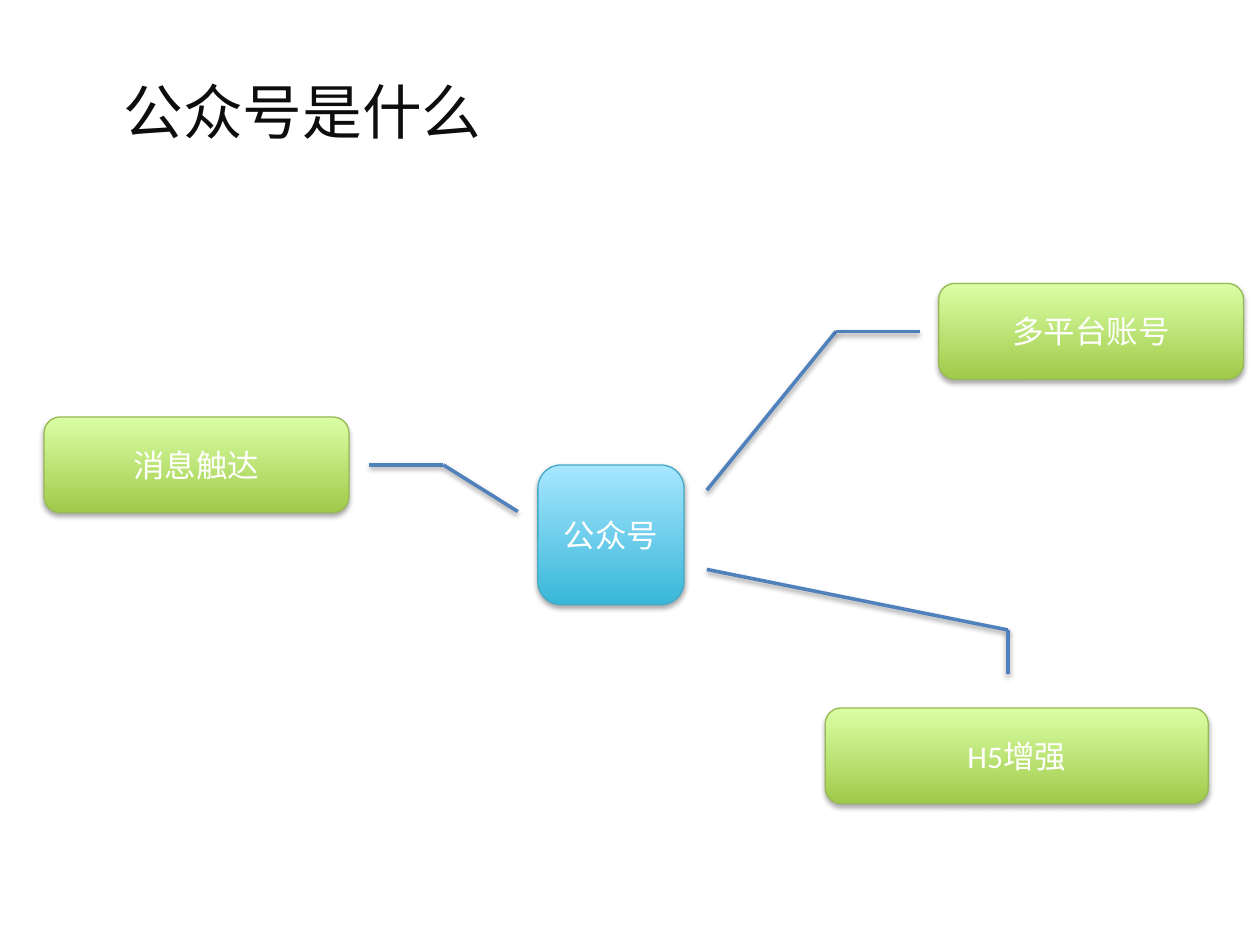
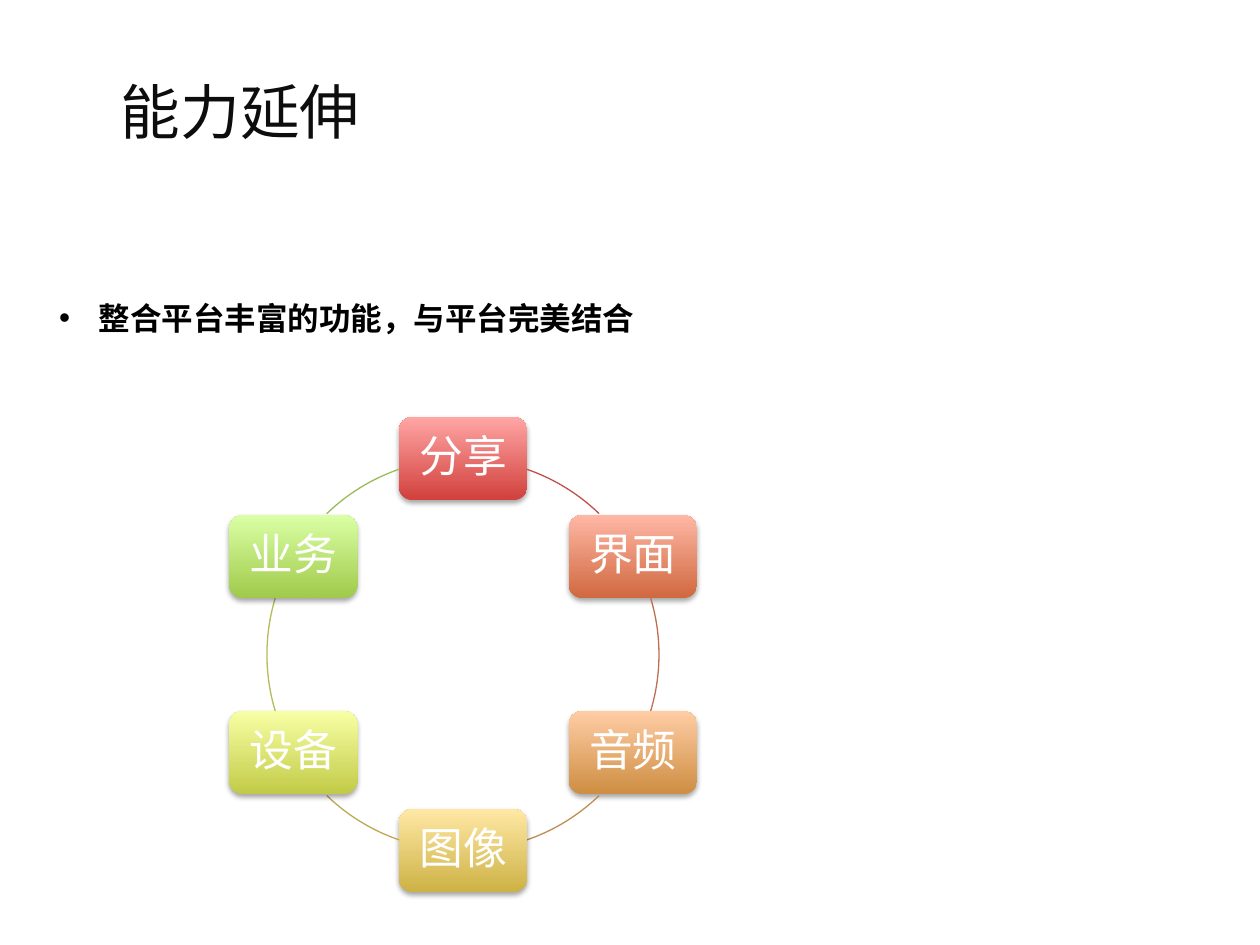
from dataclasses import dataclass
from itertools import pairwise
from math import cos, radians, sin
from typing import Optional

from lxml.etree import SubElement
from pptx import Presentation
from pptx.dml.color import RGBColor
from pptx.enum.shapes import MSO_CONNECTOR, MSO_SHAPE
from pptx.enum.text import MSO_ANCHOR, MSO_AUTO_SIZE, PP_ALIGN
from pptx.oxml.ns import qn
from pptx.util import Pt

# Shared look
LATIN_FONT = "Calibri"
CJK_FONT = "Noto Sans CJK SC"
WHITE = RGBColor(0xFF, 0xFF, 0xFF)
BLACK = RGBColor(0x00, 0x00, 0x00)
TITLE_INK = RGBColor(0x0D, 0x0D, 0x0D)
LINK_BLUE = RGBColor(0x4F, 0x81, 0xBD)
GREEN_EDGE = RGBColor(0x98, 0xB9, 0x55)
AQUA_EDGE = RGBColor(0x46, 0xAA, 0xC5)
TITLE_ONLY, TITLE_AND_BODY = 5, 1  # template layouts


@dataclass(frozen=True)
class Gradient:
    bottom: RGBColor
    top: RGBColor


GREEN = Gradient(RGBColor(0xA0, 0xCA, 0x4A), RGBColor(0xDA, 0xFF, 0xA5))
AQUA = Gradient(RGBColor(0x39, 0xB7, 0xD8), RGBColor(0xA7, 0xE6, 0xFF))
RED = Gradient(RGBColor(0xD1, 0x40, 0x3C), RGBColor(0xFF, 0xA6, 0xA5))
CORAL = Gradient(RGBColor(0xD0, 0x68, 0x3F), RGBColor(0xFF, 0xB7, 0xA5))
ORANGE = Gradient(RGBColor(0xCE, 0x8E, 0x42), RGBColor(0xFF, 0xCD, 0xA5))
GOLD = Gradient(RGBColor(0xCD, 0xB2, 0x45), RGBColor(0xFF, 0xE8, 0xA5))
LIME = Gradient(RGBColor(0xC2, 0xCB, 0x47), RGBColor(0xF7, 0xFF, 0xA5))


@dataclass(frozen=True)
class Card:
    """A rounded, shaded box; lengths are in points."""
    text: str
    left: float
    top: float
    width: float
    height: float
    gradient: Gradient
    edge: Optional[RGBColor] = None
    size: float = 18
    spacing: float = 1.0


@dataclass(frozen=True)
class RingStep:
    """A node of the ring and the arc that follows it."""
    text: str
    gradient: Gradient
    arc_color: RGBColor
    arc_start: float  # degrees clockwise from the top
    arc_end: float


# Slide 1: the account and what it offers
CARDS = [
    Card("多平台账号", 536.4, 162, 174.2, 54.7, GREEN, GREEN_EDGE),
    Card("H5增强", 471.6, 404.6, 218.9, 54.7, GREEN, GREEN_EDGE),
    Card("消息触达", 25.2, 238.3, 174.2, 54.7, GREEN, GREEN_EDGE),
    Card("公众号", 307.4, 265.7, 83.5, 79.9, AQUA, AQUA_EDGE),
]
ROUTES = [
    [(403.9, 280.1), (477.7, 189.4), (525.6, 189.4)],
    [(211, 265.7), (253.4, 265.7), (295.9, 292.3)],
    [(403.9, 325.4), (576, 360), (576, 385.2)],
]

# Slide 2: the ring of abilities
RING_X, RING_Y, RING_RADIUS = 264.6, 374.1, 112
NODE_WIDTH, NODE_HEIGHT = 73.4, 47.5
RING = [
    RingStep("分享", RED, RGBColor(0xC0, 0x50, 0x4D), 19, 44),
    RingStep("界面", CORAL, RGBColor(0xBF, 0x6F, 0x4F), 73.3, 106.7),
    RingStep("音频", ORANGE, RGBColor(0xBE, 0x8D, 0x52), 136, 161),
    RingStep("图像", GOLD, RGBColor(0xBD, 0xA9, 0x54), 199, 224),
    RingStep("设备", LIME, RGBColor(0xB5, 0xBC, 0x57), 253.3, 286.7),
    RingStep("业务", GREEN, RGBColor(0x9B, 0xBB, 0x59), 316, 341),
]


def write(para, text: str, *, size: float, color: RGBColor, font: str = LATIN_FONT,
          bold: bool = False, align=PP_ALIGN.LEFT, spacing: float = 1.0) -> None:
    """Put one formatted span of text into a paragraph."""
    para.alignment = align
    para.line_spacing = spacing
    para.space_before = Pt(0)
    span = para.add_run()
    span.text = text
    span.font.size = Pt(size)
    span.font.bold = bold
    span.font.name = font
    span.font.color.rgb = color
    if font == CJK_FONT:
        SubElement(span.font._element, qn("a:ea"), typeface=font)


def place(shape, left: float, top: float, width: float, height: float) -> None:
    shape.left, shape.top = Pt(left), Pt(top)
    shape.width, shape.height = Pt(width), Pt(height)


def add_shadow(properties, *, distance: float, opacity: int) -> None:
    """Give a shape or connector a soft shadow falling straight down."""
    effects = properties.find(qn("a:effectLst"))
    if effects is None:
        effects = SubElement(properties, qn("a:effectLst"))
    shadow = SubElement(effects, qn("a:outerShdw"), blurRad=str(Pt(3.1)),
                        dist=str(Pt(distance)), dir="5400000", rotWithShape="0")
    color = SubElement(shadow, qn("a:srgbClr"), val=str(BLACK))
    SubElement(color, qn("a:alpha"), val=str(opacity * 1000))


def add_title(page, text: str, *, left: float, font: str = LATIN_FONT) -> None:
    title = page.shapes.title
    place(title, left, 43.2, 367.2, 40.3)
    frame = title.text_frame
    frame.auto_size = MSO_AUTO_SIZE.NONE
    frame.vertical_anchor = MSO_ANCHOR.MIDDLE
    write(frame.paragraphs[0], text, size=34.1, color=TITLE_INK, font=font)


def add_card(page, card: Card) -> None:
    box = page.shapes.add_shape(MSO_SHAPE.ROUNDED_RECTANGLE, Pt(card.left), Pt(card.top),
                                Pt(card.width), Pt(card.height))
    box.fill.gradient()
    box.fill.gradient_angle = 90
    for stop, color in zip(box.fill.gradient_stops,
                           (card.gradient.bottom, card.gradient.top)):
        stop.color.rgb = color
    if card.edge is None:
        box.line.fill.background()
    else:
        box.line.color.rgb = card.edge
        box.line.width = Pt(0.75)
    box.shadow.inherit = False
    add_shadow(box._element.spPr, distance=1.8, opacity=35)
    frame = box.text_frame
    frame.word_wrap = True
    frame.vertical_anchor = MSO_ANCHOR.MIDDLE
    write(frame.paragraphs[0], card.text, size=card.size, color=WHITE,
          align=PP_ALIGN.CENTER, spacing=card.spacing)


def add_route(page, points: list[tuple[float, float]]) -> None:
    """Draw straight connectors from point to point."""
    for start, end in pairwise(points):
        link = page.shapes.add_connector(MSO_CONNECTOR.STRAIGHT,
                                         *map(Pt, start), *map(Pt, end))
        link.line.color.rgb = LINK_BLUE
        link.line.width = Pt(2)
        add_shadow(link._element.spPr, distance=1.6, opacity=38)


def add_arc(page, step: RingStep) -> None:
    arc = page.shapes.add_shape(MSO_SHAPE.ARC, Pt(RING_X - RING_RADIUS),
                                Pt(RING_Y - RING_RADIUS),
                                Pt(2 * RING_RADIUS), Pt(2 * RING_RADIUS))
    # Arc angles run from the right; one adjustment unit is 100000/60000 degrees
    for index, angle in enumerate((step.arc_start, step.arc_end)):
        arc.adjustments[index] = (angle - 90) % 360 * 0.6
    arc.fill.background()
    arc.line.color.rgb = step.arc_color
    arc.line.width = Pt(0.75)
    arc.shadow.inherit = False


def add_bullet(page, text: str) -> None:
    body = page.placeholders[1]
    place(body, 26.6, 145.4, 666, 47.5)
    body.text_frame.auto_size = MSO_AUTO_SIZE.SHAPE_TO_FIT_TEXT
    para = body.text_frame.paragraphs[0]
    properties = para._p.get_or_add_pPr()
    properties.set("marL", str(Pt(22.5)))
    properties.set("indent", str(Pt(-22.5)))
    SubElement(properties, qn("a:buFont"), typeface="Arial")
    SubElement(properties, qn("a:buChar"), char="•")
    write(para, text, size=18, color=BLACK, font=CJK_FONT, bold=True, spacing=2.0)


def build_account_page(deck) -> None:
    page = deck.slides.add_slide(deck.slide_layouts[TITLE_ONLY])
    add_title(page, "公众号是什么", left=63.4)
    for card in CARDS:
        add_card(page, card)
    for route in ROUTES:
        add_route(page, route)


def build_ability_page(deck) -> None:
    page = deck.slides.add_slide(deck.slide_layouts[TITLE_AND_BODY])
    add_title(page, "能力延伸", left=61.9, font=CJK_FONT)
    add_bullet(page, "整合平台丰富的功能，与平台完美结合")
    for index, step in enumerate(RING):
        angle = radians(index * 360 / len(RING))
        left = RING_X + RING_RADIUS * sin(angle) - NODE_WIDTH / 2
        top = RING_Y - RING_RADIUS * cos(angle) - NODE_HEIGHT / 2
        add_card(page, Card(step.text, left, top, NODE_WIDTH, NODE_HEIGHT,
                            step.gradient, size=25, spacing=0.9))
        add_arc(page, step)


def main() -> None:
    deck = Presentation()
    deck.slide_width, deck.slide_height = Pt(720), Pt(540)
    build_account_page(deck)
    build_ability_page(deck)
    deck.save("out.pptx")


if __name__ == "__main__":
    main()
